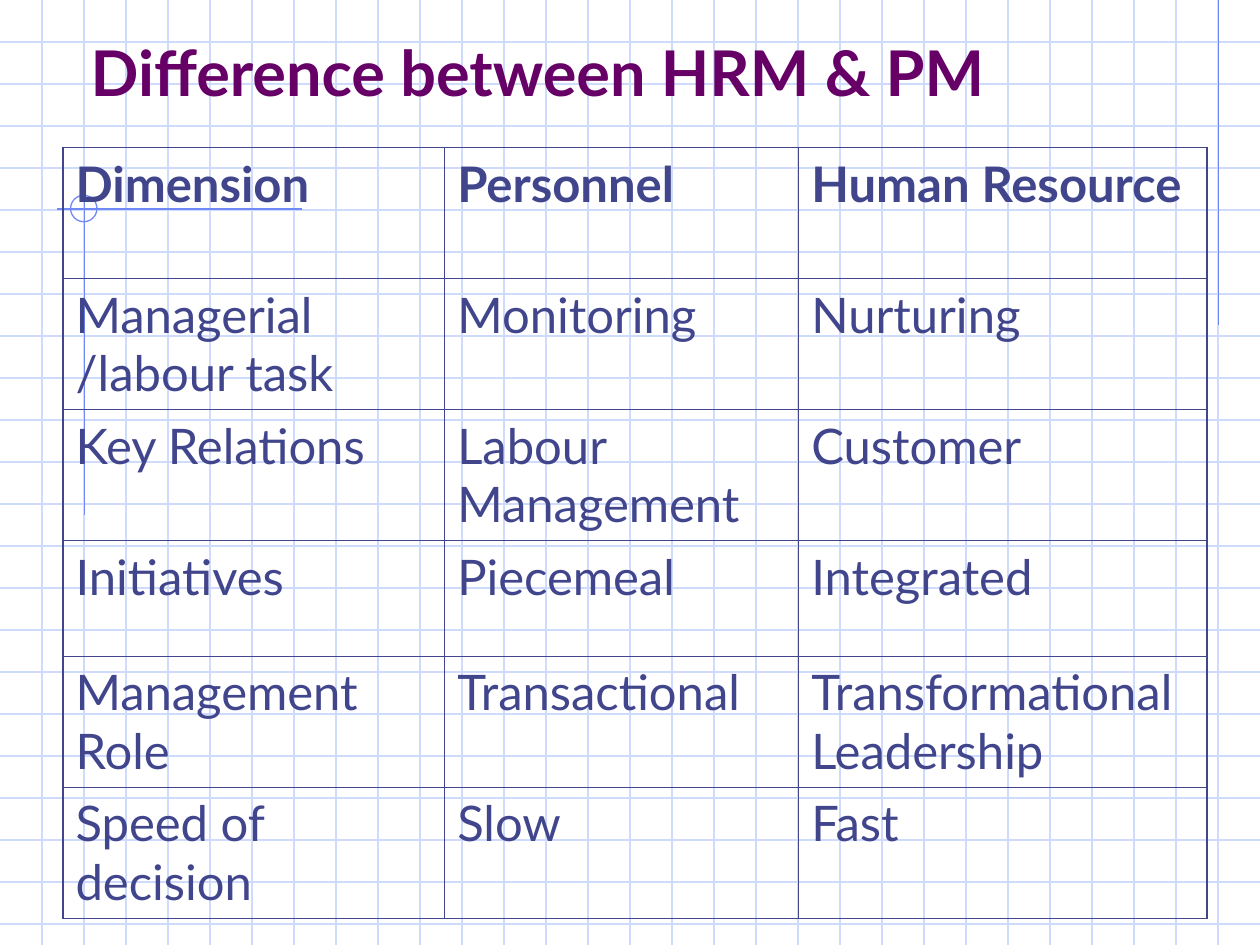
from dataclasses import dataclass

from lxml import etree
from pptx import Presentation
from pptx.dml.color import RGBColor
from pptx.enum.shapes import MSO_CONNECTOR, MSO_SHAPE
from pptx.enum.text import MSO_ANCHOR, MSO_AUTO_SIZE, PP_ALIGN
from pptx.oxml.ns import qn
from pptx.util import Inches, Pt

STRAIGHT = MSO_CONNECTOR.STRAIGHT
OVAL = MSO_SHAPE.OVAL
BOTTOM = MSO_ANCHOR.BOTTOM
TOP = MSO_ANCHOR.TOP
NO_FIT = MSO_AUTO_SIZE.NONE
LEFT = PP_ALIGN.LEFT

WIDTH, HEIGHT = 10, 7.5
TITLE_ONLY = 5

COLUMN_WIDTHS = [3.03, 2.81, 3.24]
ROW_HEIGHTS = [1.04, 1.04, 1.04, 0.92, 1.04, 1.04]
COMPARISON = [
    ["Dimension", "Personnel", "Human Resource"],
    ["Managerial /labour task", "Monitoring", "Nurturing"],
    ["Key Relations", "Labour Management", "Customer"],
    ["Initiatives", "Piecemeal", "Integrated"],
    ["Management Role", "Transactional", "Transformational Leadership"],
    ["Speed of decision", "Slow", "Fast"],
]


@dataclass
class Theme:
    font: str = "Lato"
    title_size: float = 36
    table_size: float = 28
    title_color: str = "660066"
    table_color: str = "40458C"
    grid_color: str = "CFDBFD"
    accent_color: str = "6F89F7"
    line_width: float = 0.75
    outer_border: float = 1.08
    inner_border: float = 0.45


class SlideBuilder:
    def __init__(self, page, theme):
        self.page = page
        self.theme = theme

    def format_text(self, frame, size, color, bold):
        for paragraph in frame.paragraphs:
            paragraph.alignment = LEFT
            for span in paragraph.runs:
                span.font.name = self.theme.font
                span.font.size = Pt(size)
                span.font.bold = bold
                span.font.color.rgb = RGBColor.from_string(color)

    def line(self, x1, y1, x2, y2, color):
        connector = self.page.shapes.add_connector(
            STRAIGHT, Inches(x1), Inches(y1), Inches(x2), Inches(y2)
        )
        connector.line.color.rgb = RGBColor.from_string(color)
        connector.line.width = Pt(self.theme.line_width)
        properties = connector._element.find(qn("p:spPr"))
        etree.SubElement(properties, qn("a:effectLst"))

    def grid(self, step):
        for index in range(1, int(HEIGHT / step) + 1):
            self.line(0, index * step, WIDTH, index * step, self.theme.grid_color)
        for index in range(1, int(WIDTH / step)):
            self.line(index * step, 0, index * step, HEIGHT, self.theme.grid_color)

    def ring(self, left, top, size):
        ring = self.page.shapes.add_shape(
            OVAL, Inches(left), Inches(top), Inches(size), Inches(size)
        )
        ring.shadow.inherit = False
        ring.fill.background()
        ring.line.color.rgb = RGBColor.from_string(self.theme.accent_color)
        ring.line.width = Pt(self.theme.line_width)

    def title(self, text, left, top, width, height):
        box = self.page.shapes.title
        box.left, box.top = Inches(left), Inches(top)
        box.width, box.height = Inches(width), Inches(height)
        frame = box.text_frame
        frame.text = text
        frame.word_wrap = True
        frame.auto_size = NO_FIT
        frame.vertical_anchor = BOTTOM
        self.format_text(frame, self.theme.title_size, self.theme.title_color, True)
        self.page.shapes._spTree.append(box._element)

    def border(self, cell, side, width):
        properties = cell._tc.get_or_add_tcPr()
        edge = etree.SubElement(properties, qn(f"a:ln{side}"), w=str(Pt(width)))
        fill = etree.SubElement(edge, qn("a:solidFill"))
        etree.SubElement(fill, qn("a:srgbClr"), val=self.theme.table_color)

    def table(self, rows, left, top, widths, heights):
        table = self.page.shapes.add_table(
            len(rows), len(widths), Inches(left), Inches(top),
            Inches(sum(widths)), Inches(sum(heights)),
        ).table
        table.first_row = False
        table.horz_banding = False
        for column, width in zip(table.columns, widths):
            column.width = Inches(width)
        for row, height in zip(table.rows, heights):
            row.height = Inches(height)
        last_row, last_column = len(rows) - 1, len(widths) - 1
        for r, texts in enumerate(rows):
            for c, text in enumerate(texts):
                cell = table.cell(r, c)
                outer_sides = {
                    "L": c == 0,
                    "R": c == last_column,
                    "T": r == 0,
                    "B": r == last_row,
                }
                for side, outer in outer_sides.items():
                    width = self.theme.outer_border if outer else self.theme.inner_border
                    self.border(cell, side, width)
                cell.fill.background()
                cell.vertical_anchor = TOP
                cell.text_frame.text = text
                self.format_text(
                    cell.text_frame, self.theme.table_size, self.theme.table_color, r == 0
                )


def main():
    deck = Presentation()
    deck.slide_width, deck.slide_height = Inches(WIDTH), Inches(HEIGHT)
    page = deck.slides.add_slide(deck.slide_layouts[TITLE_ONLY])
    theme = Theme()
    builder = SlideBuilder(page, theme)
    builder.grid(1 / 3)
    builder.line(9.67, 0, 9.67, 2.58, theme.accent_color)
    builder.line(2.4, 1.66, 0.45, 1.66, theme.accent_color)
    builder.line(0.67, 1.55, 0.67, 4.09, theme.accent_color)
    builder.ring(0.56, 1.55, 0.21)
    builder.title("Difference between HRM & PM", 0.62, -0.25, 8.75, 1.17)
    builder.table(COMPARISON, 0.5, 1.17, COLUMN_WIDTHS, ROW_HEIGHTS)
    deck.save("out.pptx")


if __name__ == "__main__":
    main()
